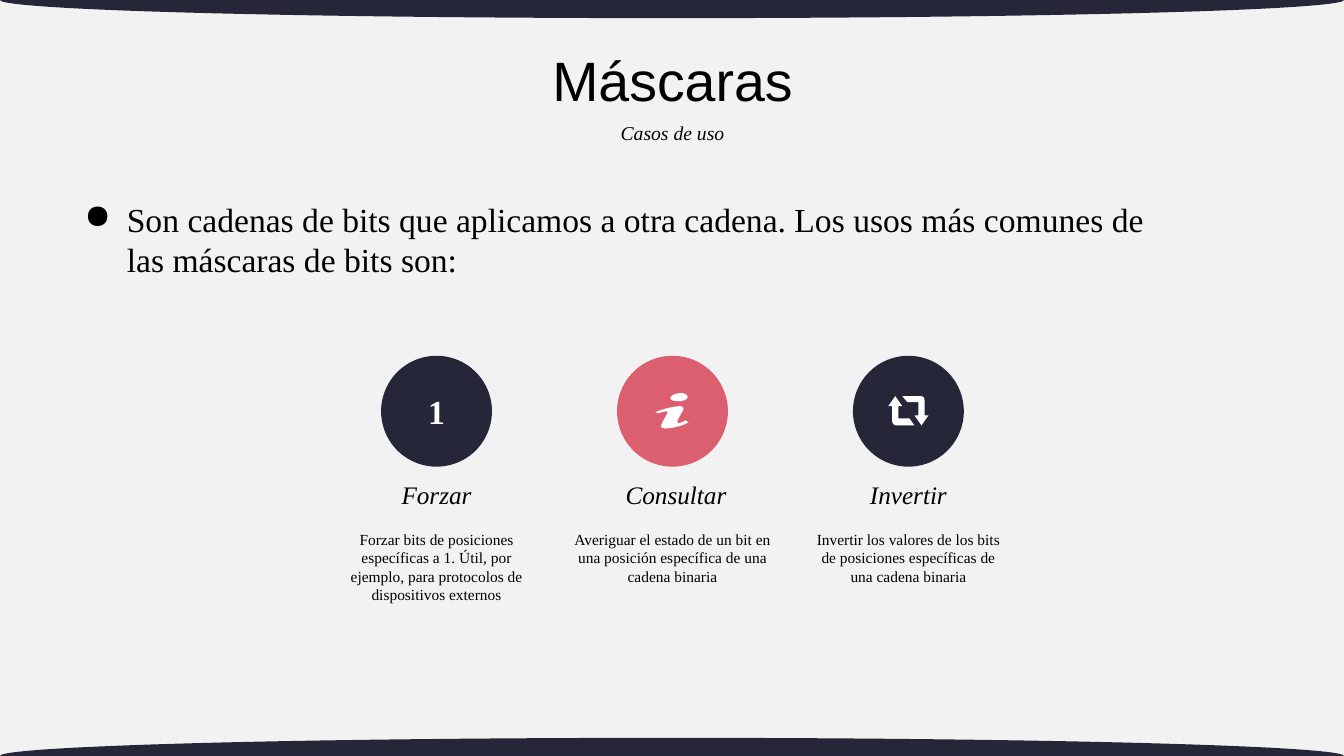
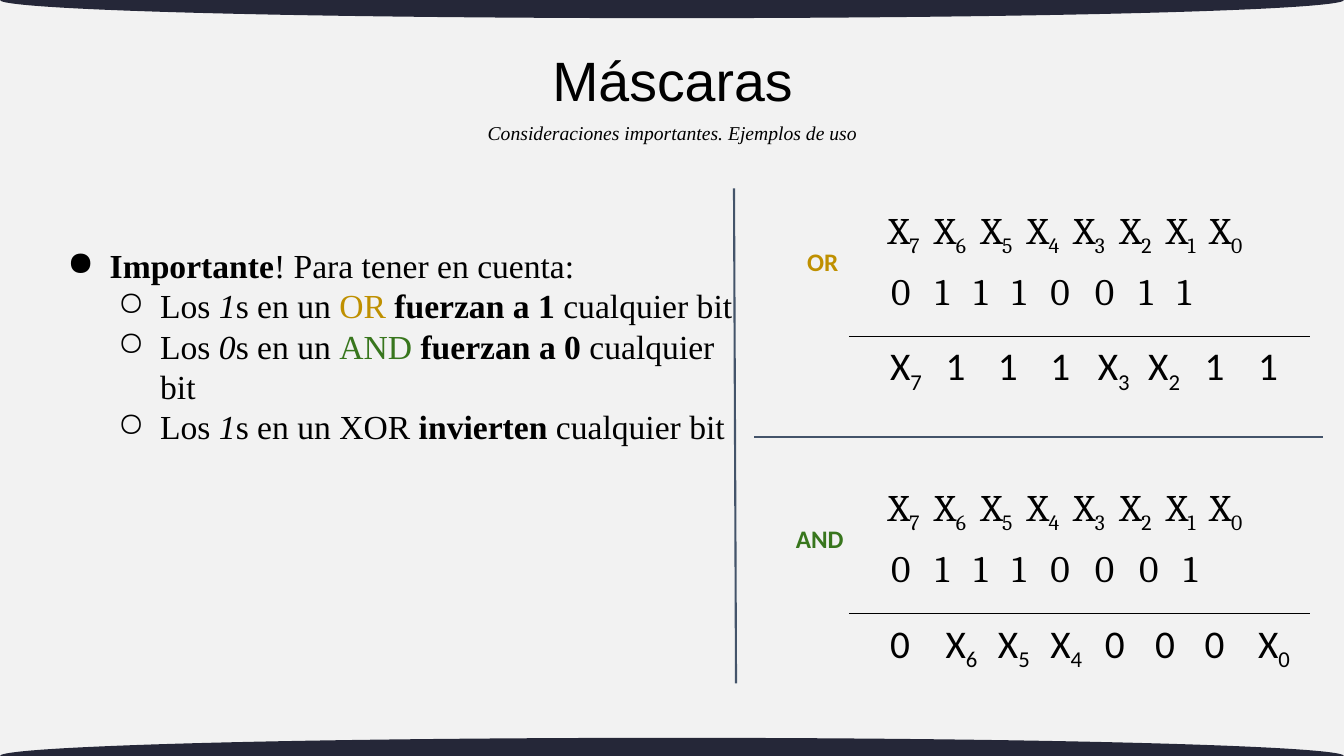
from dataclasses import dataclass
from itertools import accumulate
from typing import NamedTuple

from lxml.etree import SubElement
from pptx import Presentation
from pptx.dml.color import RGBColor as RGB
from pptx.enum.shapes import MSO_CONNECTOR as Link, MSO_SHAPE as Kind
from pptx.enum.text import MSO_ANCHOR as Anchor, PP_ALIGN as Align
from pptx.oxml.ns import qn
from pptx.util import Emu, Pt

# Scale: 100 px to the inch
PX = 9144
WIDE, HIGH = 1333, 750

# Colours and fonts
PAPER = RGB(0xF2, 0xF2, 0xF2)
NAVY = RGB(0x25, 0x27, 0x38)
ROSE = RGB(0xDC, 0x5F, 0x6F)
SLATE = RGB(0x44, 0x54, 0x6A)
GOLD = RGB(0xBF, 0x90, 0x00)
GREEN = RGB(0x38, 0x76, 0x1D)
BLACK = RGB(0, 0, 0)
WHITE = RGB(0xFF, 0xFF, 0xFF)
SANS, SERIF, MATH, PLAIN = "Arial", "Times New Roman", "Cambria", "Calibri"


class Run(NamedTuple):
    text: str
    bold: bool = False
    slant: bool = False
    color: RGB | None = None
    sub: bool = False


class Para(NamedTuple):
    runs: list[Run]
    level: int = 0


class Box(NamedTuple):
    left: int
    top: int
    wide: int
    high: int

    def emu(self) -> list[Emu]:
        return [Emu(n * PX) for n in self]


@dataclass
class Use:
    name: str
    note: str
    fill: RGB
    wide: int = 134
    mark: str = ""
    icon: tuple = ()


@dataclass
class Sum:
    gate: str
    color: RGB
    left: int
    top: int
    mask: str
    result: dict[int, str]


# Icon outlines: a pair is a corner, six numbers are a curve
ARROWS = (
    [(891, 415), (891, 403), (895, 403), (888, 393), (881, 403), (885, 403),
     (885, 418), (885, 420, 887, 422, 889, 422), (907, 422), (902, 415)],
    [(917, 412), (917, 397), (917, 395, 916, 393, 913, 393), (895, 393),
     (900, 399), (911, 399), (911, 412), (907, 412), (914, 422), (921, 412)],
)
INFO = (
    [(675, 390), (680, 390, 682, 392, 682, 394), (682, 396, 678, 398, 673, 398),
     (668, 398, 665, 397, 665, 395), (665, 393, 669, 390, 675, 390)],
    [(660, 425), (657, 425, 654, 424, 657, 419), (662, 410),
     (662, 409, 662, 408, 662, 408), (660, 408, 656, 409, 653, 410), (650, 409),
     (659, 405, 670, 403, 674, 403), (678, 403, 679, 405, 677, 408), (672, 417),
     (672, 419, 672, 420, 673, 420), (673, 420, 677, 419, 680, 417), (683, 419),
     (674, 424, 664, 425, 660, 425)],
)

# Content
USES = [
    Use("Forzar", "Forzar bits de posiciones específicas a 1. Útil, por ejemplo, "
        "para protocolos de dispositivos externos", NAVY, mark="1"),
    Use("Consultar", "Averiguar el estado de un bit en una posición específica "
        "de una cadena binaria", ROSE, wide=141, icon=INFO),
    Use("Invertir", "Invertir los valores de los bits de posiciones específicas "
        "de una cadena binaria", NAVY, icon=ARROWS),
]
RULES = [
    ("1", "OR", GOLD, "fuerzan a 1"),
    ("0", "AND", GREEN, "fuerzan a 0"),
    ("1", "XOR", BLACK, "invierten"),
]
SUMS = [
    Sum("OR", GOLD, 779, 200, "01110011",
        {873: "X7", 928: "1", 980: "1", 1032: "1",
         1079: "X3", 1129: "X2", 1185: "1", 1238: "1"}),
    Sum("AND", GREEN, 776, 475, "01110001",
        {873: "0", 928: "X6", 980: "X5", 1032: "X4",
         1086: "0", 1136: "0", 1185: "0", 1238: "X0"}),
]
STEPS = {"0": 44, "1": 38, "X1": 43}


# Text
def write(frame, text, *, size: float, font: str = SERIF, color: RGB = BLACK,
          bold: bool = False, slant: bool = False, align: Align = Align.LEFT,
          anchor: Anchor = Anchor.TOP, inset: int = 5, space: float = 1.0,
          bullets: str = "", tabs: list[int] | None = None) -> None:
    frame.word_wrap = True
    frame.vertical_anchor = anchor
    frame.margin_left = frame.margin_right = Emu(10 * PX)
    frame.margin_top = frame.margin_bottom = Emu(inset * PX)
    paras = [Para([Run(text)])] if isinstance(text, str) else text
    for k, item in enumerate(paras):
        para = frame.add_paragraph() if k else frame.paragraphs[0]
        para.alignment, para.level = align, item.level
        para.line_spacing = space
        props = para._p.get_or_add_pPr()
        if bullets:
            props.set("marL", str(50 * (item.level + 1) * PX))
            props.set("indent", str(-42 * PX))
            SubElement(props, qn("a:buChar")).set("char", bullets[item.level])
        if tabs:
            stops = SubElement(props, qn("a:tabLst"))
            for pos in tabs:
                stop = SubElement(stops, qn("a:tab"))
                stop.set("pos", str(pos * PX))
                stop.set("algn", "l")
        for part in item.runs:
            run = para.add_run()
            run.text = part.text
            face = run.font
            face.name, face.size = font, Pt(size)
            face.bold, face.italic = bold or part.bold, slant or part.slant
            face.color.rgb = part.color or color
            if part.sub:
                run._r.get_or_add_rPr().set("baseline", "-25000")


def label(slide, box: Box, text, **style) -> None:
    write(slide.shapes.add_textbox(*box.emu()).text_frame, text, **style)


def term(text: str) -> list[Run]:
    """A symbol with its index set low."""
    return [Run(text[0])] + [Run(n, sub=True) for n in text[1:]]


# Shapes
def paint(shape, fill: RGB) -> None:
    shape.shadow.inherit = False
    shape.fill.solid()
    shape.fill.fore_color.rgb = fill
    shape.line.fill.background()


def oval(slide, box: Box, fill: RGB):
    shape = slide.shapes.add_shape(Kind.OVAL, *box.emu())
    paint(shape, fill)
    return shape


def rule(slide, start: tuple[int, int], end: tuple[int, int],
         color: RGB, width: float) -> None:
    line = slide.shapes.add_connector(
        Link.STRAIGHT, *(Emu(n * PX) for n in start + end))
    line.line.color.rgb = color
    line.line.width = Pt(width)
    SubElement(line._element.spPr, qn("a:effectLst"))


def trace(outline: list[tuple]) -> list[tuple[float, float]]:
    """Turn corners and cubic curves into points in EMU."""
    points = [outline[0]]
    for step in outline[1:]:
        if len(step) == 2:
            points.append(step)
            continue
        ends = [points[-1], step[:2], step[2:4], step[4:]]
        for k in range(1, 9):
            t = k / 8
            mix = ((1 - t) ** 3, 3 * t * (1 - t) ** 2, 3 * t * t * (1 - t), t ** 3)
            points.append(tuple(sum(m * p[axis] for m, p in zip(mix, ends))
                                for axis in (0, 1)))
    return [(x * PX, y * PX) for x, y in points]


def draw(slide, icon: tuple, fill: RGB) -> None:
    first, *rest = [trace(part) for part in icon]
    pen = slide.shapes.build_freeform(*first[0])
    pen.add_line_segments(first[1:])
    for part in rest:
        pen.move_to(*part[0])
        pen.add_line_segments(part[1:])
    paint(pen.convert_to_shape(), fill)


# Parts of the slides
def start(deck, topic: str):
    slide = deck.slides.add_slide(deck.slide_layouts[6])
    slide.background.fill.solid()
    slide.background.fill.fore_color.rgb = PAPER
    for edge in (0, HIGH):
        oval(slide, Box(0, edge - 18, WIDE, 36), NAVY)
    label(slide, Box(195, 36, 944, 94), "Máscaras", size=39.6, font=SANS,
          align=Align.CENTER, anchor=Anchor.MIDDLE, space=0.9)
    label(slide, Box(328, 115, 678, 34), topic, size=14, slant=True,
          align=Align.CENTER)
    return slide


def show_use(slide, use: Use, mid: int) -> None:
    disc = oval(slide, Box(mid - 55, 353, 110, 110), use.fill)
    if use.mark:
        write(disc.text_frame, use.mark, size=24, color=WHITE, bold=True,
              align=Align.CENTER, anchor=Anchor.MIDDLE)
    if use.icon:
        draw(slide, use.icon, WHITE)
    label(slide, Box(mid - 67, 471, use.wide, 40), use.name, size=18,
          slant=True, align=Align.CENTER)
    label(slide, Box(mid - 109, 521, 218, 86), use.note, size=11,
          align=Align.CENTER)


def show_row(slide, left: int, top: int, cells: list[str]) -> None:
    runs = term(cells[0])
    for cell in cells[1:]:
        runs += [Run("\t"), *term(cell)]
    tabs = list(accumulate(STEPS.get(cell, 46) for cell in cells[:-1]))
    label(slide, Box(left, top, 420, 60), [Para(runs)], size=26.8, font=MATH,
          tabs=tabs)


def show_sum(slide, item: Sum) -> None:
    top, base = item.top, item.top + 134
    show_row(slide, 871, top, [f"X{n}" for n in range(7, -1, -1)])
    show_row(slide, 874, top + 61, list(item.mask))
    rule(slide, (842, base), (1299, base), BLACK, 0.75)
    label(slide, Box(item.left, top + 39, 74, 40), item.gate, size=18,
          font=PLAIN, color=item.color, bold=True, align=Align.CENTER)
    for left, text in item.result.items():
        label(slide, Box(left, base, 60, 57), [Para(term(text))], size=28,
              font=PLAIN)


def main() -> None:
    deck = Presentation()
    deck.slide_width, deck.slide_height = Emu(WIDE * PX), Emu(HIGH * PX)

    # Uses of masks
    slide = start(deck, "Casos de uso")
    label(slide, Box(66, 187, 1120, 106),
          "Son cadenas de bits que aplicamos a otra cadena. Los usos más "
          "comunes de las máscaras de bits son:", size=24, inset=10, bullets="●")
    for k, use in enumerate(USES):
        show_use(slide, use, 433 + 234 * k)

    # Rules and worked sums
    slide = start(deck, "Consideraciones importantes. Ejemplos de uso")
    paras = [Para([Run("Importante", bold=True), Run("! Para tener en cuenta:")])]
    for bit, gate, color, effect in RULES:
        paras.append(Para([
            Run("Los "), Run(bit, slant=True), Run("s en un "),
            Run(gate + " ", color=color), Run(effect, bold=True),
            Run(" cualquier bit")], level=1))
    label(slide, Box(49, 233, 704, 333), paras, size=24, inset=10, bullets="●○")
    rule(slide, (728, 187), (730, 678), SLATE, 1.5)
    rule(slide, (748, 434), (1312, 434), SLATE, 1.5)
    for item in SUMS:
        show_sum(slide, item)

    deck.save("out.pptx")


if __name__ == "__main__":
    main()
